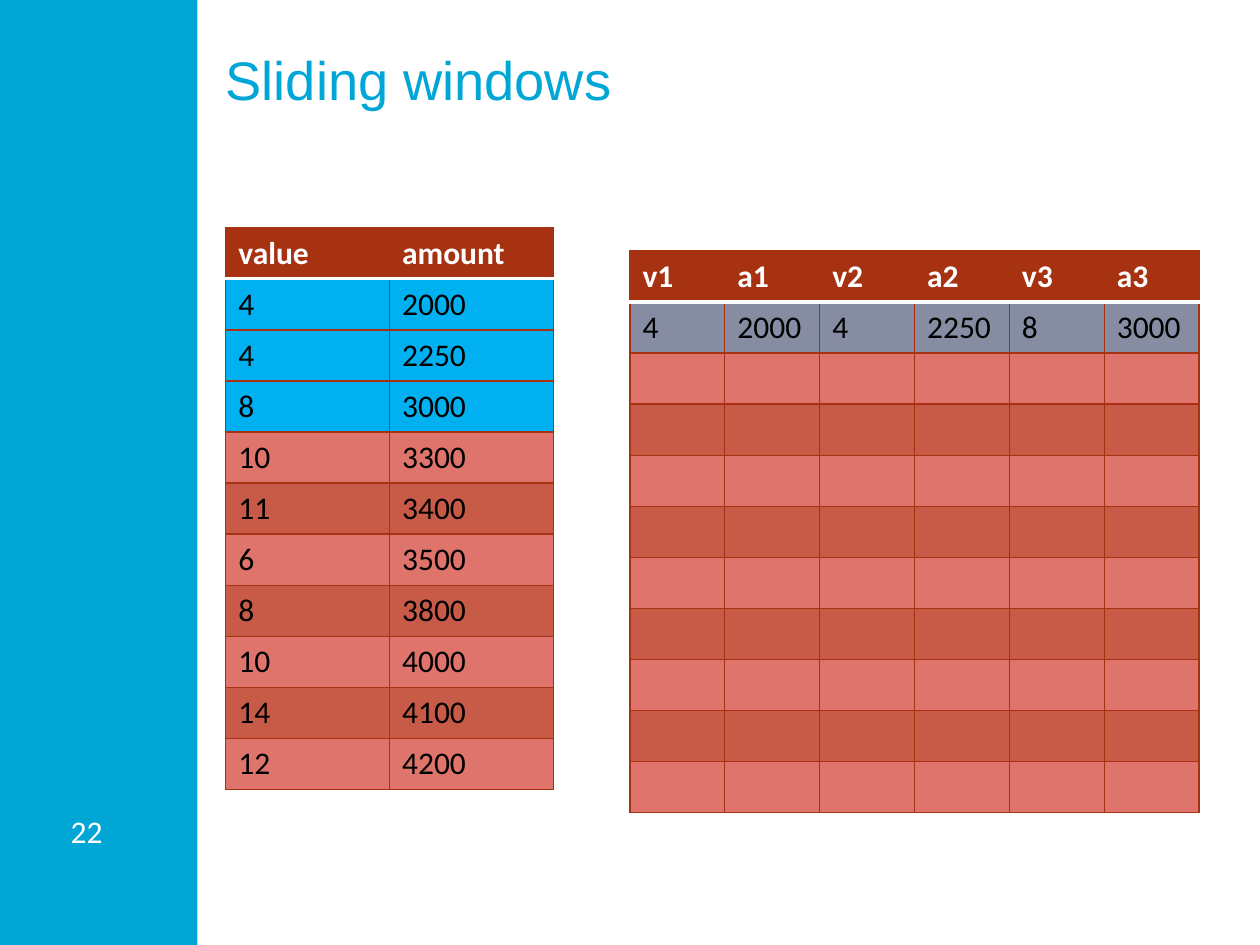
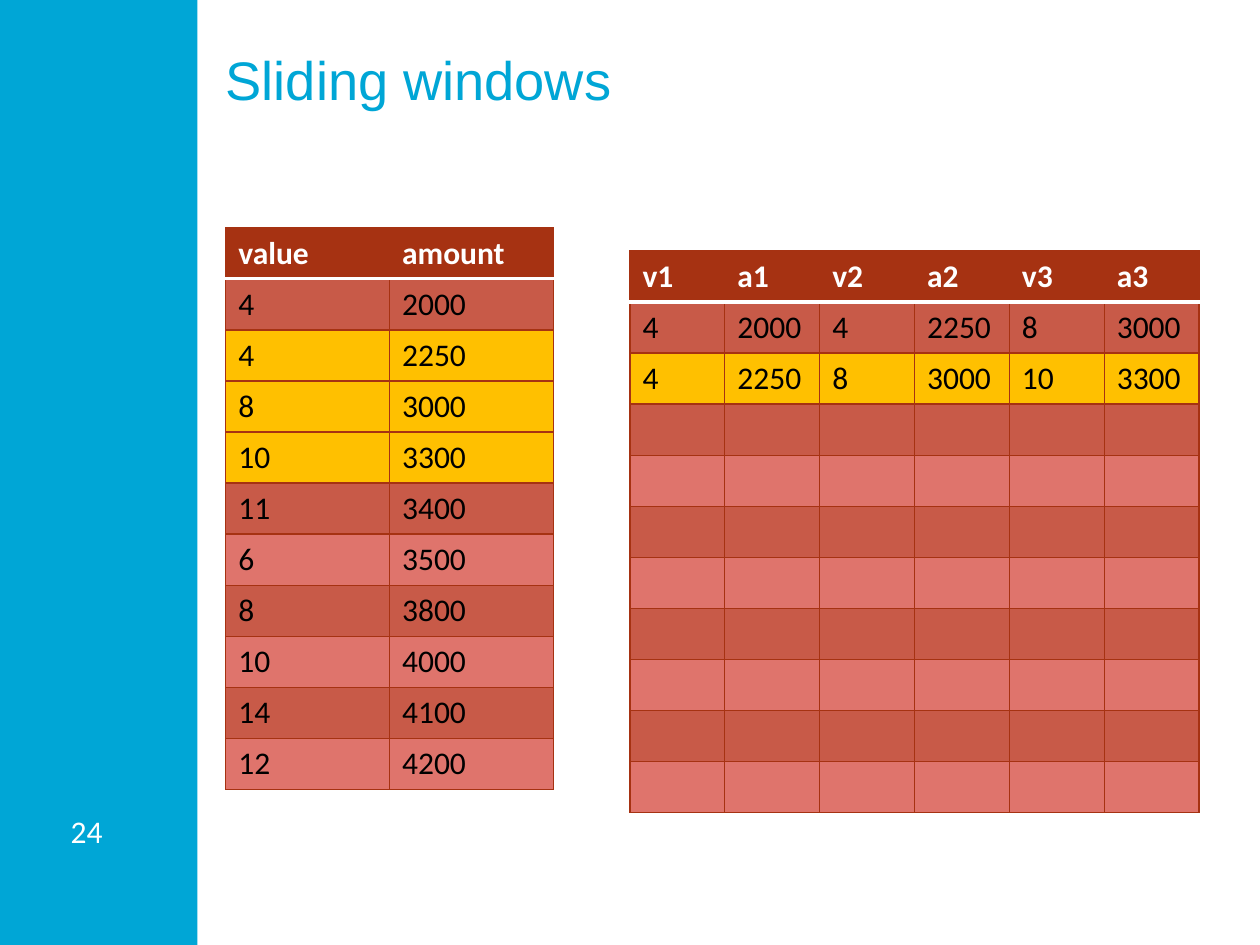
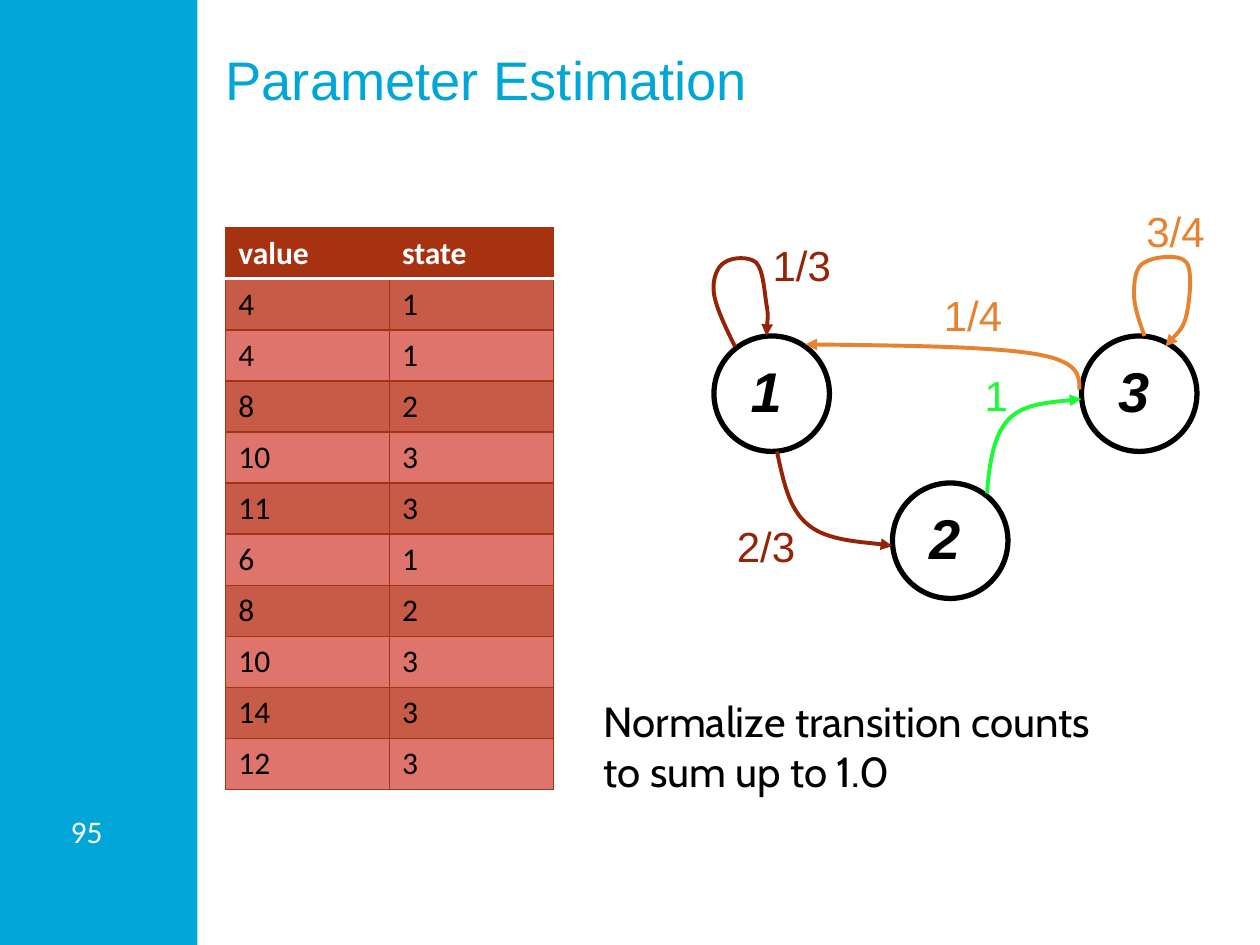
from lxml import etree
from pptx import Presentation
from pptx import util as u
from pptx.dml.color import RGBColor
from pptx.enum import shapes, text
from pptx.oxml import ns

BLUE = RGBColor(0x00, 0xA6, 0xD6)
WHITE = RGBColor(0xFF, 0xFF, 0xFF)
BLACK = RGBColor(0x00, 0x00, 0x00)
RUST = RGBColor(0xA6, 0x32, 0x12)
DARK = RGBColor(0xC8, 0x5A, 0x48)
LIGHT = RGBColor(0xDF, 0x74, 0x6C)
SKY = RGBColor(0x00, 0xB0, 0xF0)
SLATE = RGBColor(0x86, 0x8C, 0xA1)
GOLD = RGBColor(0xFF, 0xC0, 0x00)
BROWN = RGBColor(0x94, 0x24, 0x08)
ORANGE = RGBColor(0xE6, 0x82, 0x30)
GREEN = RGBColor(0x1A, 0xFA, 0x35)

COLS, ROWS = 120, 90
UNIT = u.Inches(10) // COLS
LINES = 10

TITLE = dict(size=u.Pt(31), name="Arial")
CELL = dict(size=u.Pt(18), name="Calibri")
HEAD = dict(CELL, bold=True)
STATE = dict(size=u.Pt(32), name="Arial", bold=True, italic=True)
PROB = dict(size=u.Pt(24), name="Arial")
NOTE = dict(size=u.Pt(24), name="Cabin")

VALUES = [4, 4, 8, 10, 11, 6, 8, 10, 14, 12]
AMOUNTS = [2000, 2250, 3000, 3300, 3400, 3500, 3800, 4000, 4100, 4200]
STATES = [1, 1, 2, 3, 3, 1, 2, 3, 3, 3]
PAIRS = list(zip(VALUES, AMOUNTS))

NODES = {"1": (68, 32), "3": (103, 32), "2": (85, 46)}
ARCS = [
    (BROWN, [(70, 33), (69.1, 31.2), (68.2, 29.3), (68, 28),
             (67.8, 26.6), (68.3, 25.4), (69, 25),
             (69.7, 24.5), (71.3, 24.4), (72, 25),
             (72.7, 25.7), (72.8, 27.8), (73, 29),
             (73.2, 30.1), (73, 31.4), (73, 32)]),
    (BROWN, [(74, 43), (74.6, 45.7), (75.1, 48.5), (77, 50),
             (78.8, 51.5), (83.6, 51.7), (85, 52)]),
    (ORANGE, [(109, 32), (108.5, 30.6), (108, 29.2), (108, 28),
              (108, 26.9), (108.1, 25.4), (109, 25),
              (109.8, 24.5), (112.3, 24.1), (113, 25),
              (113.6, 25.8), (113.3, 28.7), (113, 30),
              (112.7, 31.3), (111.4, 32.5), (111, 33)]),
    (GREEN, [(94, 47), (94.2, 44.3), (94.6, 41.5), (96, 40),
             (97.4, 38.5), (100.2, 38.3), (103, 38)]),
    (ORANGE, [(102.8, 37.1), (102.8, 35.8), (102.8, 34.4), (98.5, 33.7),
              (94.2, 33), (85.4, 32.9), (76.7, 32.8)]),
]
PROBS = [
    ("1/3", 72.4, 22.2, 8, BROWN),
    ("2/3", 69, 49, 8, BROWN),
    ("1", 92.6, 34.6, 4.7, GREEN),
    ("3/4", 108, 19, 8, ORANGE),
    ("1/4", 88.7, 27, 8, ORANGE),
]


def span(*cells):
    """Turn grid cells into slide lengths."""
    return [u.Emu(round(cell * UNIT)) for cell in cells]


def style(font, form, color):
    """Apply format values and a colour to a font."""
    for key, val in form.items():
        setattr(font, key, val)
    font.color.rgb = color


def write(slide, words, box, form, color, inset=(0.1, 0.05), wrap=False):
    """Add a text box with one paragraph per line."""
    frame = slide.shapes.add_textbox(*span(*box)).text_frame
    frame.word_wrap = wrap
    if not wrap:
        frame.auto_size = text.MSO_AUTO_SIZE.SHAPE_TO_FIT_TEXT
    wide, high = map(u.Inches, inset)
    frame.margin_left = frame.margin_right = wide
    frame.margin_top = frame.margin_bottom = high
    for num, line in enumerate(words.split("\n")):
        para = frame.add_paragraph() if num else frame.paragraphs[0]
        run = para.add_run()
        run.text = line
        style(run.font, form, color)


def block(slide, kind, box, fill, edge=None):
    """Add a filled preset shape, outlined when an edge colour is given."""
    shape = slide.shapes.add_shape(kind, *span(*box))
    shape.shadow.inherit = False
    shape.fill.solid()
    shape.fill.fore_color.rgb = fill
    if edge is None:
        shape.line.fill.background()
    else:
        shape.line.color.rgb = edge
        shape.line.width = u.Pt(3)


def border(cell, side, color, width):
    """Draw one border of a table cell."""
    line = etree.SubElement(cell._tc.get_or_add_tcPr(), ns.qn("a:ln" + side),
                            w=str(u.Pt(width)))
    fill = etree.SubElement(line, ns.qn("a:solidFill"))
    etree.SubElement(fill, ns.qn("a:srgbClr"), val=str(color))


def grid(slide, box, head, body, marks):
    """Add a banded table of fixed length, with marked rows in own fills."""
    blank = [""] * len(head)
    rows = [head, *body, *[blank] * (LINES - len(body))]
    table = slide.shapes.add_table(len(rows), len(head), *span(*box)).table
    for r, row in enumerate(rows):
        fill = marks.get(r, DARK if r % 2 else LIGHT) if r else RUST
        for c, word in enumerate(row):
            cell = table.cell(r, c)
            for side in "LRTB":
                rule = (r, side) in ((0, "B"), (1, "T"))
                border(cell, side, *((WHITE, 2) if rule else (RUST, 0.79)))
            cell.fill.solid()
            cell.fill.fore_color.rgb = fill
            if word != "":
                run = cell.text_frame.paragraphs[0].add_run()
                run.text = str(word)
                style(run.font, *((CELL, BLACK) if r else (HEAD, WHITE)))


def arc(slide, color, points):
    """Add a curved arrow from a start and triples of curve points."""
    first, *rest = [span(*point) for point in points]
    form = slide.shapes.build_freeform(*first)
    form.add_line_segments(rest, close=False)
    shape = form.convert_to_shape()
    shape.shadow.inherit = False
    shape.fill.background()
    shape.line.color.rgb = color
    shape.line.width = u.Pt(2.25)
    props = shape._element.spPr
    etree.SubElement(props.find(ns.qn("a:ln")), ns.qn("a:tailEnd"),
                     type="triangle")
    steps = list(props.iter(ns.qn("a:lnTo")))
    for i in range(0, len(steps), 3):
        curve = etree.Element(ns.qn("a:cubicBezTo"))
        steps[i].addprevious(curve)
        for step in steps[i:i + 3]:
            curve.append(step[0])
            step.getparent().remove(step)


def page(deck, title, num):
    """Add a slide with its side band, number and title."""
    slide = deck.slides.add_slide(deck.slide_layouts[6])
    block(slide, shapes.MSO_SHAPE.RECTANGLE, (0, 0, 18.8, ROWS), BLUE)
    write(slide, str(num), (5.9, 76.9, 6.5, 4.8), CELL, WHITE, (0.07, 0.04))
    write(slide, title, (21.5, 4.4, 92.4, 13.9), TITLE, BLUE, (0, 0), True)
    return slide


def series(slide, name, body, marks):
    """Add the table of observed values on the left."""
    grid(slide, (21.5, 21.7, 31.2, 53.5), ["value", name], body, marks)


def window(slide, count, marks):
    """Add the table of the first sliding windows on the right."""
    head = [kind + str(n) for n in (1, 2, 3) for kind in "va"]
    body = [sum(PAIRS[i:i + 3], ()) for i in range(count)]
    grid(slide, (60, 23.9, 54.2, 53.5), head, body, marks)


def model(slide):
    """Add the state diagram with its transition shares."""
    for name, (x, y) in NODES.items():
        block(slide, shapes.MSO_SHAPE.OVAL, (x, y, 11, 11), WHITE, BLACK)
        write(slide, name, (x + 2.3, y + 1.4, 5.4, 7.5), STATE, BLACK)
    for color, points in ARCS:
        arc(slide, color, points)
    for word, x, y, wide, color in PROBS:
        write(slide, word, (x, y, wide, 6.1), PROB, color)


def main():
    """Build the three slides and save them."""
    deck = Presentation()
    deck.slide_width, deck.slide_height = span(COLS, ROWS)
    for num, start, fill, mark in ((22, 1, SKY, SLATE), (24, 2, GOLD, GOLD)):
        slide = page(deck, "Sliding windows", num)
        marks = dict.fromkeys(range(start, start + 3), fill)
        series(slide, "amount", PAIRS, marks)
        window(slide, start, {start: mark})
    slide = page(deck, "Parameter Estimation", 95)
    series(slide, "state", list(zip(VALUES, STATES)), {})
    model(slide)
    write(slide, "Normalize transition counts\nto sum up to 1.0",
          (56.3, 65.6, 50.9, 10.9), NOTE, BLACK)
    deck.save("out.pptx")


if __name__ == "__main__":
    main()
